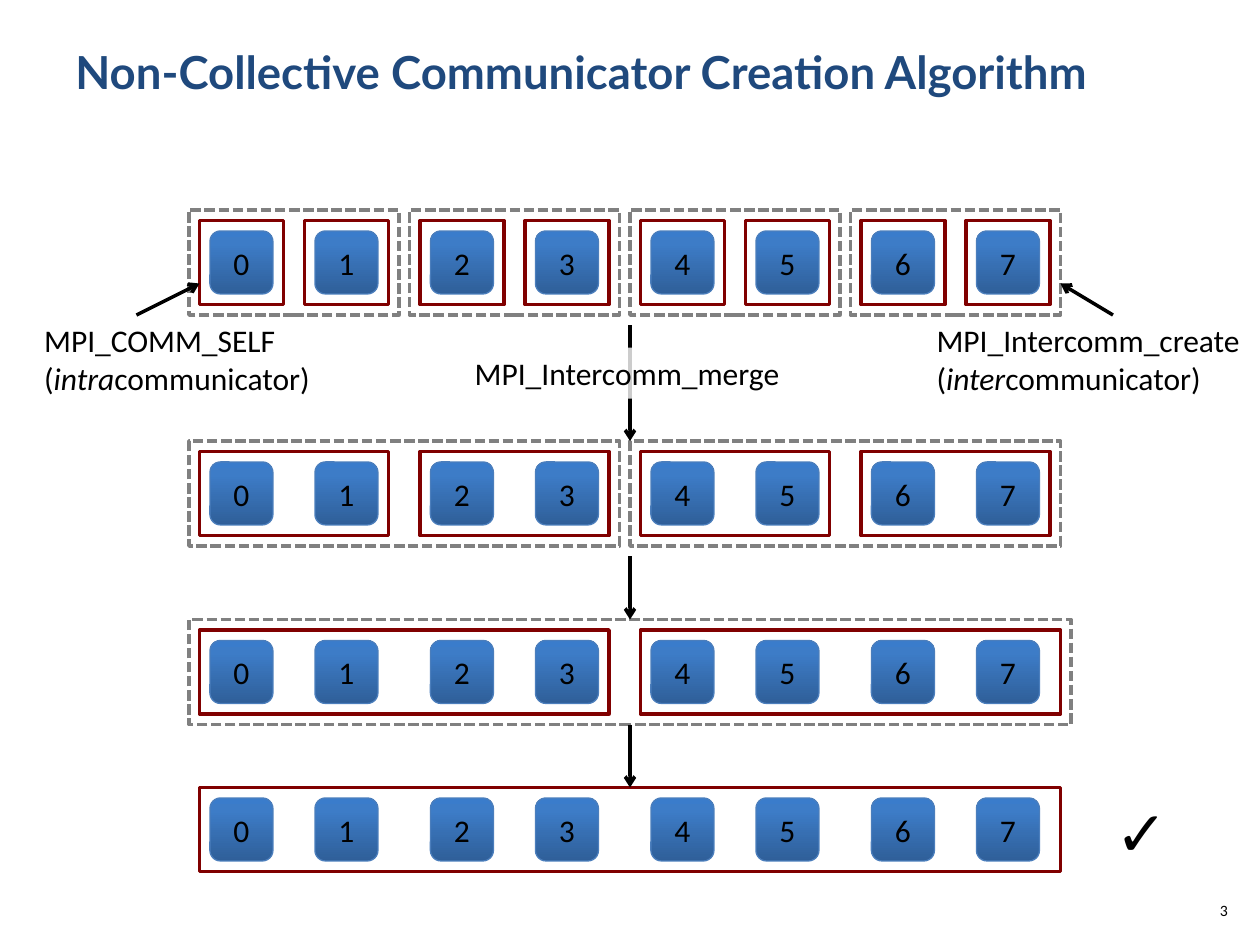
import copy
from dataclasses import dataclass
from typing import NamedTuple

import lxml.etree
import pptx
import pptx.dml.color
import pptx.enum.dml
import pptx.enum.shapes
import pptx.enum.text
import pptx.oxml.ns
import pptx.util

Shape = pptx.enum.shapes.MSO_SHAPE
Align = pptx.enum.text.PP_ALIGN
qn = pptx.oxml.ns.qn


@dataclass(frozen=True)
class Theme:
    title_font: str = "Lato"
    body_font: str = "Calibri"
    mark_font: str = "Arial"
    title_size: float = 26
    body_size: float = 18
    mark_size: float = 36
    number_size: float = 9
    title_color: str = "1F497D"
    ink: str = "000000"
    paper: str = "FFFFFF"
    intra: str = "800000"
    inter: str = "808080"
    process_line: str = "4B7EBC"
    process_stops: tuple = ((0, "2F5F99"), (0.8, "3D7CC7"), (1, "3A7CCB"))
    line_width: float = 2
    process_line_width: float = 0.75


class Area(NamedTuple):
    """Left, top, width and height in centimetres."""
    left: float
    top: float
    width: float
    height: float


class Level(NamedTuple):
    """One merge step; top and widen are in grid units."""
    top: int
    group: int
    widen: int = 0


THEME = Theme()
GRID = 2.54 / 12
PROCESSES = 8
PROCESS_SIZE = 6
LEVELS = (Level(22, 1), Level(44, 2), Level(61, 4, 1), Level(76, 8, 1))
CENTRE = 60


def rgb(value: str) -> pptx.dml.color.RGBColor:
    return pptx.dml.color.RGBColor.from_string(value)


def grid_area(left: float, top: float, width: float, height: float) -> Area:
    return Area(*(value * GRID for value in (left, top, width, height)))


def process_left(rank: int) -> int:
    pair, odd = divmod(rank, 2)
    return 20 + 21 * pair + 10 * odd


def apply(target, formats: dict) -> None:
    for name, value in formats.items():
        setattr(target, name, value)


def write(box, lines: list, color: str = THEME.ink, size: float = THEME.body_size,
          font: str = THEME.body_font, bold: bool = False,
          align=Align.LEFT, **frame_formats) -> None:
    """Fill a box; each line is a list of spans, and spans starting with * are italic."""
    frame = box.text_frame
    apply(frame, frame_formats)
    for index, spans in enumerate(lines):
        para = frame.paragraphs[0] if index == 0 else frame.add_paragraph()
        para.alignment = align
        for text in spans:
            span = para.add_run()
            span.text = text.removeprefix("*")
            apply(span.font, {"name": font, "size": pptx.util.Pt(size), "bold": bold,
                              "italic": text.startswith("*")})
            span.font.color.rgb = rgb(color)


def add_text(page, area: Area, lines: list, **formats) -> None:
    box = page.shapes.add_textbox(*map(pptx.util.Cm, area))
    write(box, lines, **formats)


def add_box(page, kind, area: Area):
    box = page.shapes.add_shape(kind, *map(pptx.util.Cm, area))
    box.shadow.inherit = False
    return box


def add_frame(page, area: Area, color: str, dash=None):
    frame = add_box(page, Shape.RECTANGLE, area)
    frame.fill.background()
    frame.line.color.rgb = rgb(color)
    apply(frame.line, {"width": pptx.util.Pt(THEME.line_width), "dash_style": dash})
    return frame


def add_process(page, rank: int, top: int) -> None:
    box = add_box(page, Shape.ROUNDED_RECTANGLE,
                  grid_area(process_left(rank), top, PROCESS_SIZE, PROCESS_SIZE))
    box.fill.gradient()
    box.fill.gradient_angle = 90
    stop_list = next(box.element.iter(qn("a:gsLst")))
    stop_list.append(copy.deepcopy(stop_list[0]))
    for stop, (position, color) in zip(box.fill.gradient_stops, THEME.process_stops):
        stop.position = position
        stop.color.rgb = rgb(color)
    box.line.color.rgb = rgb(THEME.process_line)
    box.line.width = pptx.util.Pt(THEME.process_line_width)
    write(box, [[str(rank)]], align=Align.CENTER,
          vertical_anchor=pptx.enum.text.MSO_ANCHOR.MIDDLE,
          margin_left=0, margin_top=0, margin_right=0, margin_bottom=0)


def add_arrow(page, start: tuple, end: tuple, source=None, target=None) -> None:
    """Draw an arrow in grid units, leaving a source's bottom or meeting a target's top."""
    ends = [pptx.util.Cm(value * GRID) for value in (*start, *end)]
    arrow = page.shapes.add_connector(pptx.enum.shapes.MSO_CONNECTOR.STRAIGHT, *ends)
    if source is not None:
        arrow.begin_connect(source, 2)
    if target is not None:
        arrow.end_connect(target, 0)
    arrow.line.color.rgb = rgb(THEME.ink)
    arrow.line.width = pptx.util.Pt(THEME.line_width)
    properties = arrow.element.spPr
    lxml.etree.SubElement(properties.find(qn("a:ln")), qn("a:tailEnd"), type="arrow")
    lxml.etree.SubElement(properties, qn("a:effectLst"))


def add_level(page, level: Level) -> tuple:
    """Draw the groups of a level and return its last inner and outer frames."""
    spans = []
    for first in range(0, PROCESSES, level.group):
        last = first + level.group - 1
        right = process_left(last) + PROCESS_SIZE + 1
        if last == PROCESSES - 1:
            right += level.widen
        spans.append((process_left(first) - 1, right))
    inner = outer = None
    for left, right in spans:
        inner = add_frame(page, grid_area(left, level.top - 1, right - left, 8), THEME.intra)
    for (left, _), (_, right) in zip(spans[::2], spans[1::2]):
        outer = add_frame(page, grid_area(left - 1, level.top - 2, right - left + 2, 10),
                          THEME.inter, pptx.enum.dml.MSO_LINE.SQUARE_DOT)
    for rank in range(PROCESSES):
        add_process(page, rank, level.top)
    return inner, outer


def add_merge_label(page, fitted: dict) -> None:
    label = add_box(page, Shape.RECTANGLE, Area(9.32, 7.01, 6.7, 1.03))
    label.fill.solid()
    label.fill.fore_color.rgb = rgb(THEME.paper)
    color = next(label.element.spPr.iter(qn("a:srgbClr")))
    lxml.etree.SubElement(color, qn("a:alpha"), val="80000")
    label.line.fill.background()
    write(label, [["MPI_Intercomm_merge"]], **fitted)


def main() -> None:
    deck = pptx.Presentation()
    apply(deck, {"slide_width": pptx.util.Cm(25.4), "slide_height": pptx.util.Cm(19.05)})
    page = deck.slides.add_slide(deck.slide_layouts[6])
    fitted = {"word_wrap": False,
              "auto_size": pptx.enum.text.MSO_AUTO_SIZE.SHAPE_TO_FIT_TEXT}

    add_text(page, Area(1.27, 0.76, 22.86, 2.62),
             [["Non-Collective Communicator Creation Algorithm"]], word_wrap=True,
             font=THEME.title_font, size=THEME.title_size, color=THEME.title_color, bold=True)
    add_text(page, Area(23.93, 18.03, 1.07, 1.02), [["3"]], word_wrap=True,
             size=THEME.number_size, align=Align.RIGHT)

    frames = [add_level(page, level) for level in LEVELS]
    third_outer, final_inner = frames[2][1], frames[3][0]

    add_arrow(page, (13, 30), (19, 27))
    add_arrow(page, (106, 30), (101, 27))
    add_arrow(page, (CENTRE, 31), (CENTRE, 42))
    add_arrow(page, (CENTRE, 53), (CENTRE, 59), target=third_outer)
    add_arrow(page, (CENTRE, 69), (CENTRE, 75), source=third_outer, target=final_inner)

    add_merge_label(page, fitted)
    add_text(page, Area(0.64, 6.35, 5.89, 1.8),
             [["MPI_COMM_SELF"], ["(", "*intra", "communicator)"]], **fitted)
    add_text(page, Area(18.63, 6.35, 6.68, 1.8),
             [["MPI_Intercomm_create"], ["(", "*inter", "communicator)"]], **fitted)
    add_text(page, Area(22.23, 15.88, 1.47, 1.8), [["✓"]],
             font=THEME.mark_font, size=THEME.mark_size, **fitted)
    deck.save("out.pptx")


if __name__ == "__main__":
    main()
